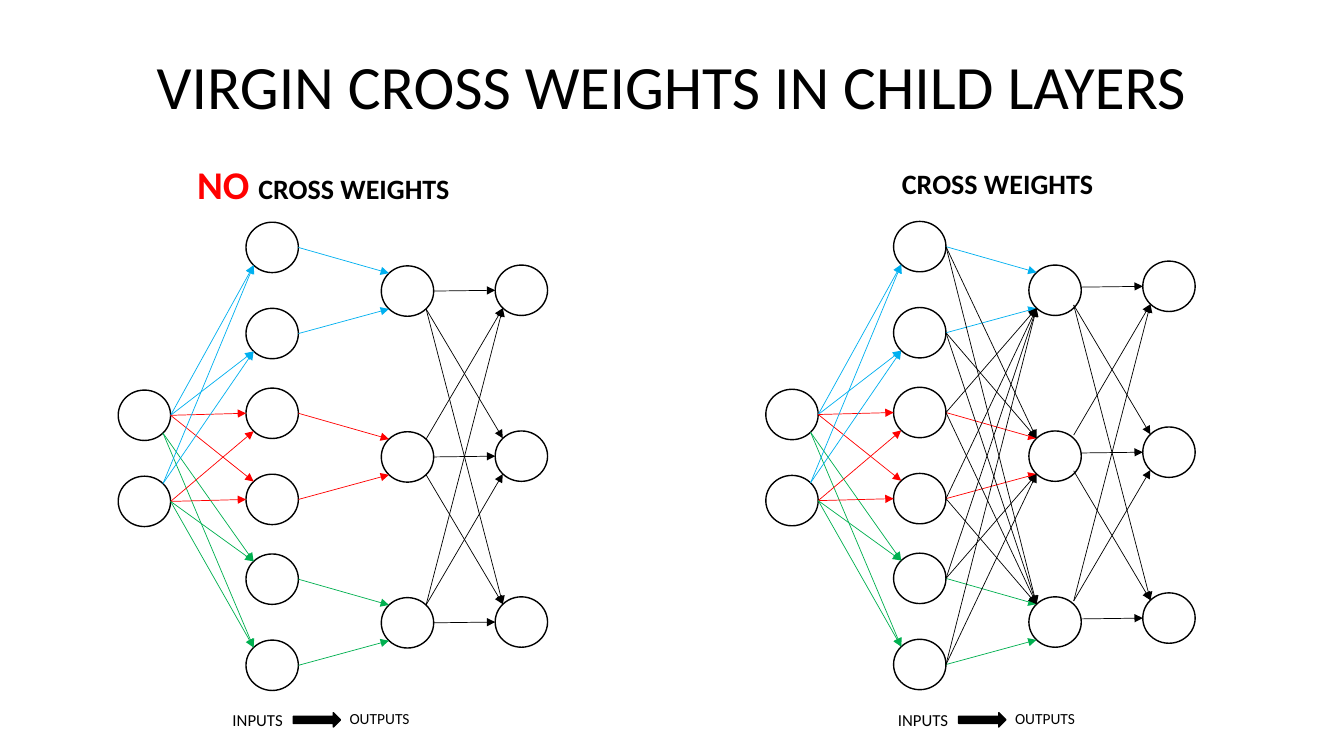
from itertools import product
from lxml.etree import SubElement
from pptx import Presentation
from pptx.dml.color import RGBColor
from pptx.enum.shapes import MSO_CONNECTOR as Link, MSO_SHAPE as Kind
from pptx.enum.text import MSO_ANCHOR as Anchor, MSO_AUTO_SIZE as Fit, PP_ALIGN as Align
from pptx.oxml.ns import qn
from pptx.util import Cm, Pt

BLACK, WHITE, RED, BLUE, GREEN = "000000", "FFFFFF", "FF0000", "00B0F0", "00B050"
INKS = BLUE, RED, GREEN
WIDE, HIGH = 1.32, 1.27
STEP, PAIR = 4.18, 2.17
LEVEL = 1


def tint(code):
    """Turn a hex string into a colour."""
    return RGBColor.from_string(code)


def write(par, text, size=12, ink=BLACK, bold=False, face="Calibri"):
    """Add a formatted run to a paragraph."""
    run = par.add_run()
    run.text = text
    font = run.font
    font.name, font.size, font.bold = face, Pt(size), bold
    font.color.rgb = tint(ink)


def site(node, side, rise):
    """Find the point on a node at side -1 or 1 and rise -1, 0 or 1."""
    x, y = node
    reach = 0.71 if rise else 1
    return x + WIDE / 2 * (1 + side * reach), y + HIGH / 2 * (1 + rise * reach)


def slope(start, end):
    """Tell whether a link climbs (-1), stays level (0) or drops (1)."""
    gap = end[1] - start[1]
    return 0 if abs(gap) < LEVEL else 1 if gap > 0 else -1


class Board:
    """Holds the drawing style and the current slide."""

    def __init__(self, slide, edge=1, thin=0.5):
        """Keep the slide and the line widths."""
        self.items, self.edge, self.thin = slide.shapes, edge, thin

    def label(self, x, y, w, h, *runs, title=False):
        """Place a text box made of (text, format) runs."""
        frame = self.items.add_textbox(Cm(x), Cm(y), Cm(w), Cm(h)).text_frame
        frame.word_wrap = title
        par = frame.paragraphs[0]
        if title:
            frame.vertical_anchor = Anchor.MIDDLE
            par.alignment, par.line_spacing = Align.CENTER, 0.9
        else:
            frame.auto_size = Fit.SHAPE_TO_FIT_TEXT
        for text, form in runs:
            write(par, text, **form)

    def shape(self, kind, x, y, w, h, fill):
        """Place a filled shape with a black edge."""
        item = self.items.add_shape(kind, Cm(x), Cm(y), Cm(w), Cm(h))
        item.shadow.inherit = False
        item.fill.solid()
        item.fill.fore_color.rgb = tint(fill)
        item.line.color.rgb = tint(BLACK)
        item.line.width = Pt(self.edge)

    def layer(self, x, tops):
        """Place a column of nodes and return their corners."""
        nodes = [(x, y) for y in tops]
        for x, y in nodes:
            self.shape(Kind.FLOWCHART_CONNECTOR, x, y, WIDE, HIGH, WHITE)
        return nodes

    def arrow(self, start, end, ink=BLACK):
        """Draw a thin arrow between two points."""
        ends = [Cm(v) for v in (*start, *end)]
        item = self.items.add_connector(Link.STRAIGHT, *ends)
        item.line.color.rgb = tint(ink)
        item.line.width = Pt(self.thin)
        SubElement(item.line._get_or_add_ln(), qn("a:tailEnd"), type="triangle")
        SubElement(item._element.spPr, qn("a:effectLst"))

    def net(self, x, y, lift, cross):
        """Draw one network, with cross weights if asked."""
        groups = range(3)
        first = self.layer(x, [y + 4.23 + PAIR * i for i in range(2)])
        child = self.layer(x + 3.22, [y + STEP * g + PAIR * i for g in groups for i in range(2)])
        merge = self.layer(x + 6.63, [y + 1.1 + STEP * g for g in groups])
        last = self.layer(x + 9.5, [y + 1.08 - lift + STEP * g for g in groups])

        for (i, start), (j, end) in product(enumerate(first), enumerate(child)):
            group = j // 2
            rise = {(0, 2): 1, (1, 0): -1}.get((i, group), 0)
            self.arrow(site(start, 1, rise), site(end, -1, -slope(start, end)), INKS[group])

        pairs = list(product(enumerate(child), enumerate(merge)))
        for (i, start), (j, end) in sorted(pairs, key=lambda p: p[0][0] // 2 != p[1][0]):
            own = i // 2 == j
            if own or cross:
                ink = INKS[j] if own else BLACK
                self.arrow(site(start, 1, 0), site(end, -1, -slope(start, end)), ink)

        for (a, b), end in product(merge, last):
            start = a, b - lift
            rise = slope(start, end)
            self.arrow(site(start, 1, rise), site(end, -1, -rise))

    def key(self, x, y):
        """Draw the caption that shows the flow direction."""
        self.label(x, y, 1.8, 0.77, ("INPUTS", dict(size=12)))
        self.label(x + 2.95, y, 2.08, 0.73, ("OUTPUTS", dict(size=11)))
        self.shape(Kind.RIGHT_ARROW, x + 1.78, y + 0.21, 1.19, 0.36, BLACK)


deck = Presentation()
deck.slide_width, deck.slide_height = Cm(33.87), Cm(19.05)
board = Board(deck.slides.add_slide(deck.slide_layouts[6]))

board.label(2.33, 0.41, 29.21, 3.68,
            ("VIRGIN CROSS WEIGHTS IN CHILD LAYERS", dict(size=44)), title=True)
head = dict(size=20, bold=True)
board.label(4.72, 3.91, 7.04, 1.45,
            ("NO ", dict(size=28, ink=RED, bold=True)), ("CROSS WEIGHTS", head))
board.label(22.48, 4.06, 5.38, 1.12, ("CROSS WEIGHTS", head))

board.net(2.98, 5.6, lift=0, cross=False)
board.net(19.3, 5.58, lift=0.08, cross=True)
for left in (5.61, 22.38):
    board.key(left, 17.75)

deck.save("out.pptx")
